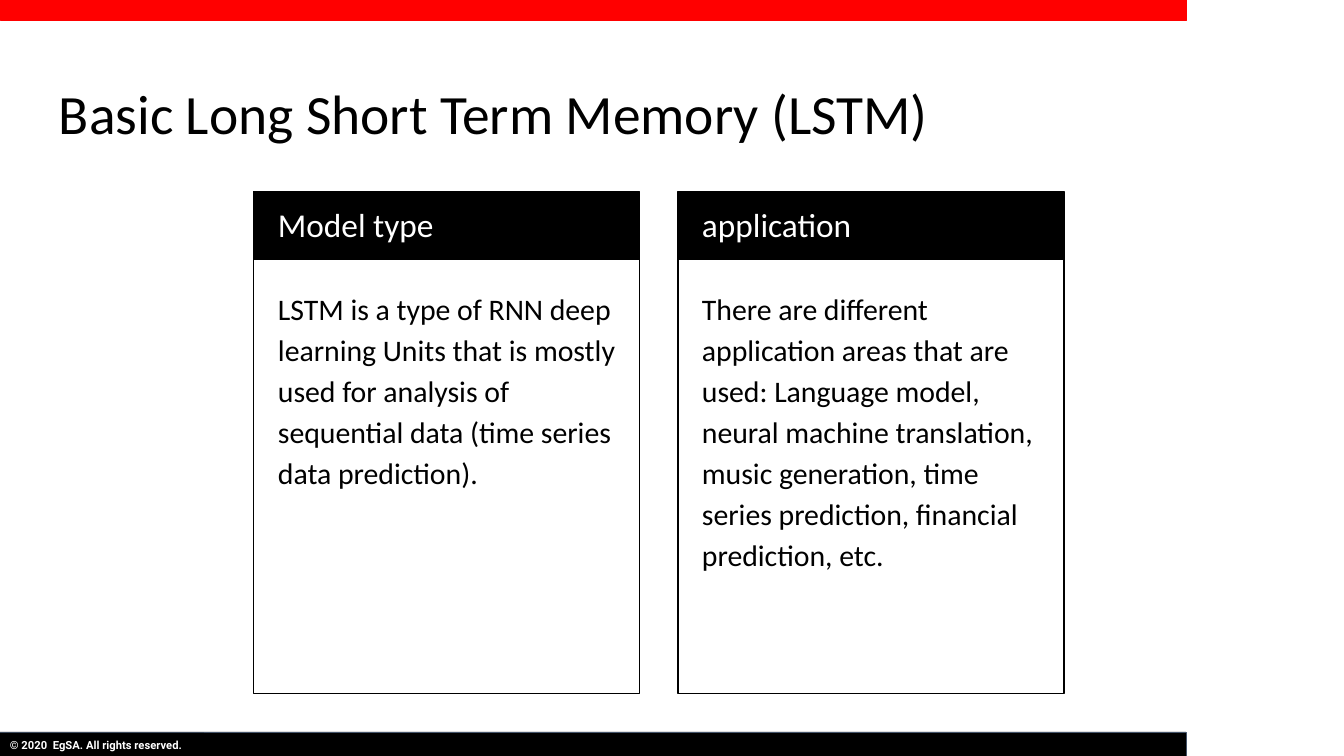
import pptx
import pptx.util
import pptx.dml.color
import pptx.enum.shapes
import pptx.enum.text

PX = 914400 / 100.8
COLORS = {"black": "000000", "white": "FFFFFF", "red": "FF0000", "slate": "44546A"}
ANCHOR = pptx.enum.text.MSO_ANCHOR

TITLE = {"size": pptx.util.Pt(39.6), "name": "Calibri"}
HEADING = {"size": pptx.util.Pt(23.8), "name": "Calibri"}
BODY = {"size": pptx.util.Pt(21.3), "name": "Calibri"}
COPYRIGHT = {"size": pptx.util.Pt(8), "name": "Roboto", "bold": True}

CARDS = [
    ("Model type",
     "LSTM is a type of RNN deep learning Units that is mostly used for analysis of "
     "sequential data (time series data prediction)."),
    ("application",
     "There are different application areas that are used: Language model, neural machine "
     "translation, music generation, time series prediction, financial prediction, etc."),
]
CARD_LEFT, CARD_TOP, CARD_WIDTH, CARD_HEIGHT, CARD_STEP = 254, 192, 386, 502, 424
HEAD_HEIGHT = 68


def px(*lengths):
    return [pptx.util.Emu(round(n * PX)) for n in lengths]


def rgb(name):
    return pptx.dml.color.RGBColor.from_string(COLORS[name])


def add_rect(shapes, box, fill=None, line=None, width=0.5):
    sp = shapes.add_shape(pptx.enum.shapes.MSO_SHAPE.RECTANGLE, *px(*box))
    sp.shadow.inherit = False
    if fill:
        sp.fill.solid()
        sp.fill.fore_color.rgb = rgb(fill)
    else:
        sp.fill.background()
    if line:
        sp.line.color.rgb = rgb(line)
        sp.line.width = pptx.util.Pt(width)
    else:
        sp.line.fill.background()
    return sp


def write(sp, text, font, color, frame, paragraph):
    """Put one paragraph in a shape; font, frame and paragraph hold attribute values."""
    tf = sp.text_frame
    p = tf.paragraphs[0]
    r = p.add_run()
    r.text = text
    for target, values in ((tf, frame), (p, paragraph), (r.font, font)):
        for name, value in values.items():
            setattr(target, name, value)
    r.font.color.rgb = rgb(color)


def add_text(s, box, text, font, color="black", anchor=ANCHOR.TOP, **paragraph):
    inset = px(13)[0]
    frame = {"word_wrap": True, "vertical_anchor": anchor}
    frame |= {f"margin_{side}": inset for side in ("left", "top", "right", "bottom")}
    write(s.shapes.add_textbox(*px(*box)), text, font, color, frame, paragraph)


def add_card(s, left, heading, body):
    group = s.shapes.add_group_shape()
    add_rect(group.shapes, (left, CARD_TOP, CARD_WIDTH, HEAD_HEIGHT), "black")
    add_rect(group.shapes, (left, CARD_TOP, CARD_WIDTH, CARD_HEIGHT), line="black", width=0.75)
    add_text(s, (left + 11, CARD_TOP, 367, HEAD_HEIGHT), heading, HEADING, "white",
             ANCHOR.MIDDLE, line_spacing=0.95)
    add_text(s, (left + 11, CARD_TOP + 80, 364, 411), body, BODY,
             line_spacing=1.15, space_after=pptx.util.Pt(16))


def add_bars(s):
    add_rect(s.shapes, (0, 732, 1186, 24), "black", "slate")
    sp = add_rect(s.shapes, (0, 733, 204, 24), "black")
    write(sp, "© 2020  EgSA. All rights reserved.", COPYRIGHT, "white",
          {"word_wrap": False, "vertical_anchor": ANCHOR.MIDDLE},
          {"alignment": pptx.enum.text.PP_ALIGN.LEFT})
    add_rect(s.shapes, (0, -1, 1186, 21), "red", "red")


def main():
    prs = pptx.Presentation()
    prs.slide_width, prs.slide_height = px(1344, 756)
    s = prs.slides.add_slide(prs.slide_layouts[6])
    add_bars(s)
    add_text(s, (46, 66, 1252, 85), "Basic Long Short Term Memory (LSTM)", TITLE)
    for i, (heading, body) in enumerate(CARDS):
        add_card(s, CARD_LEFT + i * CARD_STEP, heading, body)
    prs.save("out.pptx")


if __name__ == "__main__":
    main()
